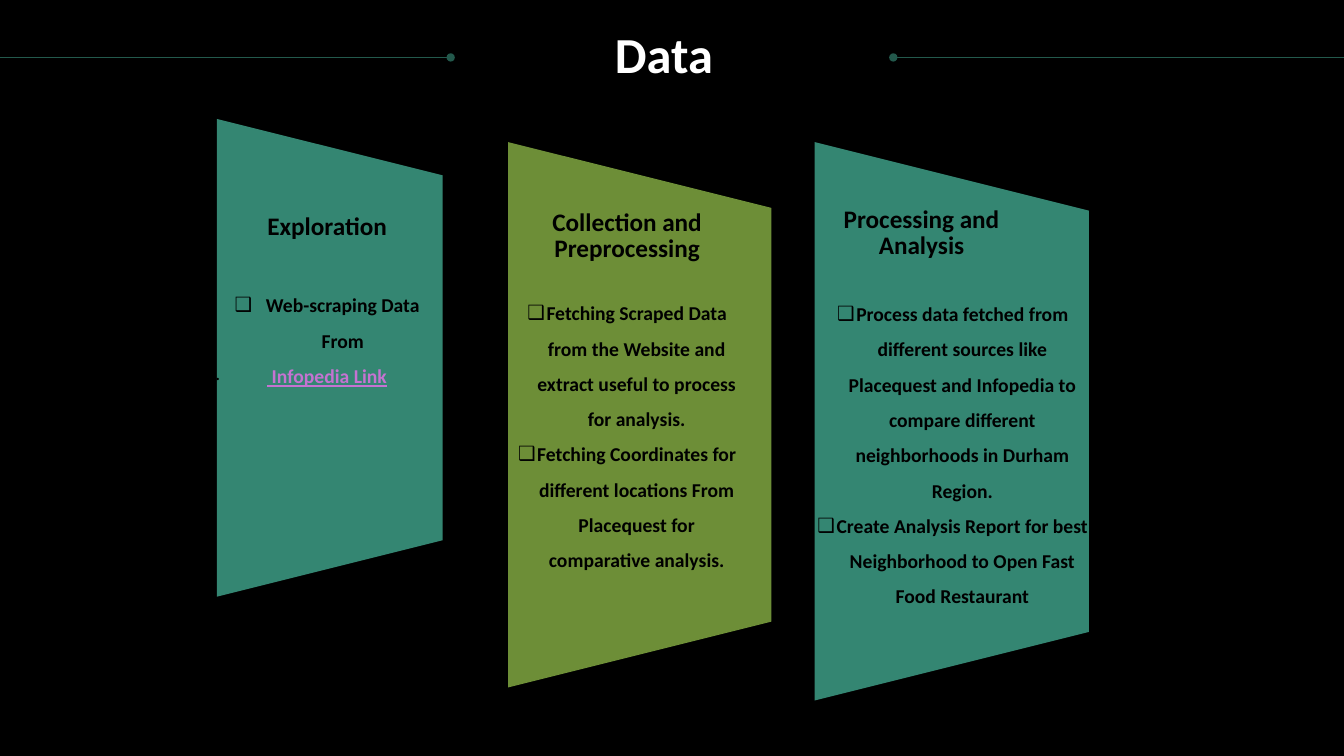
from lxml.etree import SubElement
from pptx import Presentation
from pptx.dml.color import RGBColor
from pptx.enum.shapes import MSO_CONNECTOR, MSO_SHAPE
from pptx.enum.text import MSO_ANCHOR, MSO_AUTO_SIZE, PP_ALIGN
from pptx.oxml.ns import qn
from pptx.util import Inches, Pt

COLORS = {"back": "000000", "text": "000000", "title": "FFFFFF", "line": "23594C",
          "teal": "348672", "olive": "6D8E37", "link": "C573D2"}


def rgb(name):
    return RGBColor.from_string(COLORS[name])


def write(sp, at, paragraphs, inset=(0, 0)):
    """Place a text shape and fill it with (text, format) paragraphs."""
    sp.left, sp.top, sp.width, sp.height = [Inches(v) for v in at]
    tf = sp.text_frame
    tf.word_wrap = True
    tf.auto_size = MSO_AUTO_SIZE.NONE
    tf.vertical_anchor = MSO_ANCHOR.TOP
    tf.margin_left = tf.margin_right = Inches(inset[0])
    tf.margin_top = tf.margin_bottom = Inches(inset[1])
    for i, (text, f) in enumerate(paragraphs):
        p = tf.add_paragraph() if i else tf.paragraphs[0]
        p.alignment = PP_ALIGN.CENTER
        p.line_spacing = f.get("spacing", 1.5)
        p.space_before = Pt(f.get("before", 0))
        p.space_after = Pt(0)
        hang = Inches(f.get("hang", 0))
        pPr = p._p.get_or_add_pPr()
        pPr.set("marL", str(hang))
        pPr.set("indent", str(-hang))
        if hang:
            SubElement(pPr, qn("a:buChar")).set("char", "❑")
        else:
            SubElement(pPr, qn("a:buNone"))
        r = p.add_run()
        r.text = text
        r.font.name = "Calibri"
        r.font.size = Pt(f.get("size", 14))
        r.font.bold = f.get("bold", True)
        r.font.underline = f.get("underline", False)
        r.font.color.rgb = rgb(f.get("color", "text"))


prs = Presentation()
prs.slide_width, prs.slide_height = Inches(13.33), Inches(7.5)
s = prs.slides.add_slide(prs.slide_layouts[4])
s.background.fill.solid()
s.background.fill.fore_color.rgb = rgb("back")
title = s.shapes.title

# Panels sit behind the text: left, top, width, height before the quarter turn
for at, color in [((0.9, 2.43, 4.74, 2.24), "teal"),
                  ((3.64, 2.81, 5.41, 2.61), "olive"),
                  ((6.67, 2.82, 5.54, 2.72), "teal")]:
    panel = s.shapes.add_shape(MSO_SHAPE.TRAPEZOID, *[Inches(v) for v in at])
    panel.rotation = 90
    panel.shadow.inherit = False
    panel.fill.solid()
    panel.fill.fore_color.rgb = rgb(color)
    panel.line.fill.background()
    title.element.addprevious(panel.element)

# Rules on both sides of the title, with a dot at the inner end
for inner, outer in [(4.47, 0), (8.86, 13.33)]:
    rule = s.shapes.add_connector(MSO_CONNECTOR.STRAIGHT, Inches(inner), Inches(0.57),
                                  Inches(outer), Inches(0.57))
    rule.line.color.rgb = rgb("line")
    rule.line.width = Pt(0.75)
    SubElement(rule.line._get_or_add_ln(), qn("a:headEnd")).set("type", "oval")
    SubElement(rule.element.spPr, qn("a:effectLst"))

write(title, (0.17, 0.3, 12.83, 0.6),
      [("Data", dict(size=36, color="title", spacing=0.9))])

heading = dict(size=18, spacing=Pt(19))
bullet = dict(hang=0.19)
boxes = s.placeholders
write(boxes[1], (2.31, 1.94, 1.87, 2.19), [
    ("Exploration", dict(size=18)),
    ("Web-scraping Data From", dict(hang=0.31, before=29)),
    (" Infopedia Link", dict(color="link", underline=True))])
write(boxes[2], (5.09, 2.08, 2.26, 3.89), [
    ("Collection and Preprocessing", heading),
    ("Fetching Scraped Data from the Website and extract useful to process for analysis.",
     dict(bullet, before=19)),
    ("Fetching Coordinates for different locations From Placequest for comparative analysis.",
     bullet)])
write(boxes[3], (8.22, 2, 1.84, 0.63), [("Processing and Analysis", heading)], (0.1, 0.05))
write(boxes[4], (7.98, 2.83, 2.94, 3.58), [
    ("Process data fetched from different sources like Placequest and Infopedia to "
     "compare different neighborhoods in Durham Region.", bullet),
    ("Create Analysis Report for best Neighborhood to Open Fast Food Restaurant", bullet)],
    (0.1, 0.05))
dot = s.shapes.add_textbox(0, 0, 0, 0)
write(dot, (1.2, 3.55, 1.92, 0.24), [(".", dict(bold=False, spacing=Pt(19)))])

prs.save("out.pptx")
